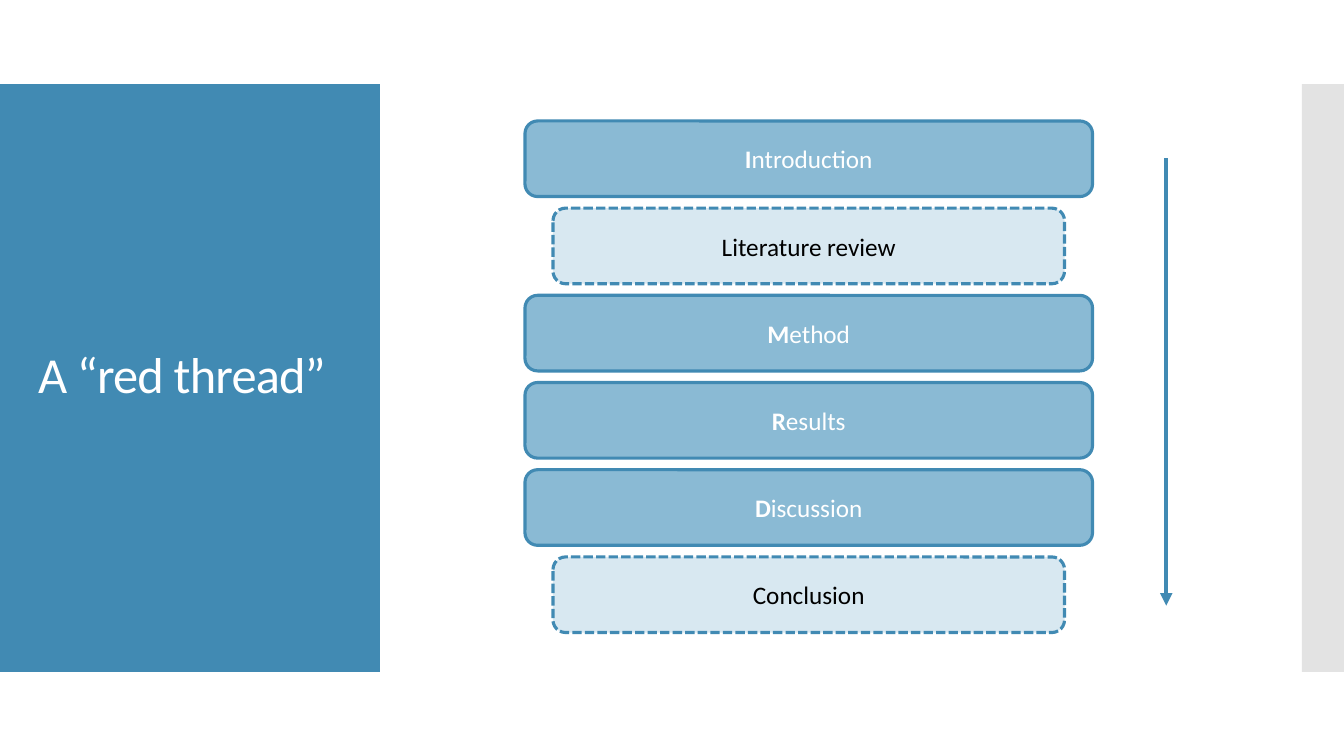
from dataclasses import dataclass

from lxml.etree import SubElement
from pptx import Presentation
from pptx.dml.color import RGBColor
from pptx.enum.dml import MSO_LINE
from pptx.enum.shapes import MSO_CONNECTOR, MSO_SHAPE
from pptx.enum.text import MSO_ANCHOR, MSO_AUTO_SIZE, PP_ALIGN
from pptx.oxml.ns import qn
from pptx.shapes.autoshape import Shape
from pptx.slide import Slide
from pptx.text.text import _Paragraph
from pptx.util import Inches, Pt

BLUE = RGBColor(0x41, 0x8A, 0xB3)
MID_BLUE = RGBColor(0x8A, 0xBA, 0xD4)
PALE_BLUE = RGBColor(0xD8, 0xE8, 0xF1)
GREY = RGBColor(0xC8, 0xC8, 0xC8)
WHITE = RGBColor(0xFF, 0xFF, 0xFF)
BLACK = RGBColor(0, 0, 0)
FONT = "Calibri"

WIDTH, HEIGHT = Inches(13.33), Inches(7.5)
COLS, ROWS = 48, 90
STACK_LEFT, STACK_TOP, STACK_WIDTH = 18.75, 14.4, 20.27
BOX_HEIGHT, BOX_PITCH, OPTIONAL_INSET = 9, 10.38, 1
ARROW_COL, ARROW_START, ARROW_END = 41.65, 18.84, 72.1


@dataclass(frozen=True)
class Panel:
    left: float
    width: float
    color: RGBColor


@dataclass(frozen=True)
class Section:
    initial: str
    rest: str
    optional: bool = False


PANELS = [Panel(0, 13.57, BLUE), Panel(46.5, 1.5, GREY)]
SECTIONS = [
    Section("I", "ntroduction"),
    Section("", "Literature review", optional=True),
    Section("M", "ethod"),
    Section("R", "esults"),
    Section("D", "iscussion"),
    Section("", "Conclusion", optional=True),
]


def col(n: float) -> int:
    return round(WIDTH * n / COLS)


def row(n: float) -> int:
    return round(HEIGHT * n / ROWS)


def add_run(p: _Paragraph, text: str, size: float, color: RGBColor, bold: bool = False) -> None:
    r = p.add_run()
    r.text = text
    r.font.name = FONT
    r.font.size = Pt(size)
    r.font.bold = bold
    r.font.color.rgb = color


def add_box(s: Slide, kind: MSO_SHAPE, left: float, top: float, width: float,
            height: float, fill: RGBColor) -> Shape:
    sp = s.shapes.add_shape(kind, col(left), row(top), col(width), row(height))
    sp.shadow.inherit = False
    sp.fill.solid()
    sp.fill.fore_color.rgb = fill
    sp.line.fill.background()
    return sp


def add_section(s: Slide, section: Section, index: int) -> None:
    inset = OPTIONAL_INSET if section.optional else 0
    sp = add_box(s, MSO_SHAPE.ROUNDED_RECTANGLE, STACK_LEFT + inset,
                 STACK_TOP + index * BOX_PITCH, STACK_WIDTH - 2 * inset, BOX_HEIGHT,
                 PALE_BLUE if section.optional else MID_BLUE)
    sp.line.color.rgb = BLUE
    sp.line.width = Pt(2.25)
    if section.optional:
        sp.line.dash_style = MSO_LINE.SQUARE_DOT
    tf = sp.text_frame
    tf.vertical_anchor = MSO_ANCHOR.MIDDLE
    p = tf.paragraphs[0]
    p.alignment = PP_ALIGN.CENTER
    color = BLACK if section.optional else WHITE
    if section.initial:
        add_run(p, section.initial, 18, color, bold=True)
    add_run(p, section.rest, 18, color)


def add_title(s: Slide, text: str) -> None:
    sp = s.shapes.title
    sp.left, sp.top, sp.width, sp.height = col(1), row(14.75), col(11.6), row(60.4)
    tf = sp.text_frame
    tf.word_wrap = True
    tf.auto_size = MSO_AUTO_SIZE.NONE
    tf.vertical_anchor = MSO_ANCHOR.MIDDLE
    p = tf.paragraphs[0]
    p.alignment = PP_ALIGN.LEFT
    p.line_spacing = 0.9
    add_run(p, text, 36, WHITE)
    p.runs[0].font._element.set("spc", "-60")
    sp.element.getparent().append(sp.element)


def add_arrow(s: Slide) -> None:
    line = s.shapes.add_connector(MSO_CONNECTOR.STRAIGHT, col(ARROW_COL), row(ARROW_START),
                                  col(ARROW_COL), row(ARROW_END))
    line.line.color.rgb = BLUE
    line.line.width = Pt(3)
    SubElement(line.line._get_or_add_ln(), qn("a:tailEnd"), type="triangle")
    SubElement(line.element.spPr, qn("a:effectLst"))


def main() -> None:
    prs = Presentation()
    prs.slide_width, prs.slide_height = WIDTH, HEIGHT
    s = prs.slides.add_slide(prs.slide_layouts[5])
    for panel in PANELS:
        sp = add_box(s, MSO_SHAPE.RECTANGLE, panel.left, 10, panel.width, 70, panel.color)
        if panel.color == GREY:
            tint = sp.element.spPr.find(f"{qn('a:solidFill')}/{qn('a:srgbClr')}")
            SubElement(tint, qn("a:alpha"), val="50000")
    add_title(s, "A “red thread”")
    for index, section in enumerate(SECTIONS):
        add_section(s, section, index)
    add_arrow(s)
    prs.save("out.pptx")


if __name__ == "__main__":
    main()
